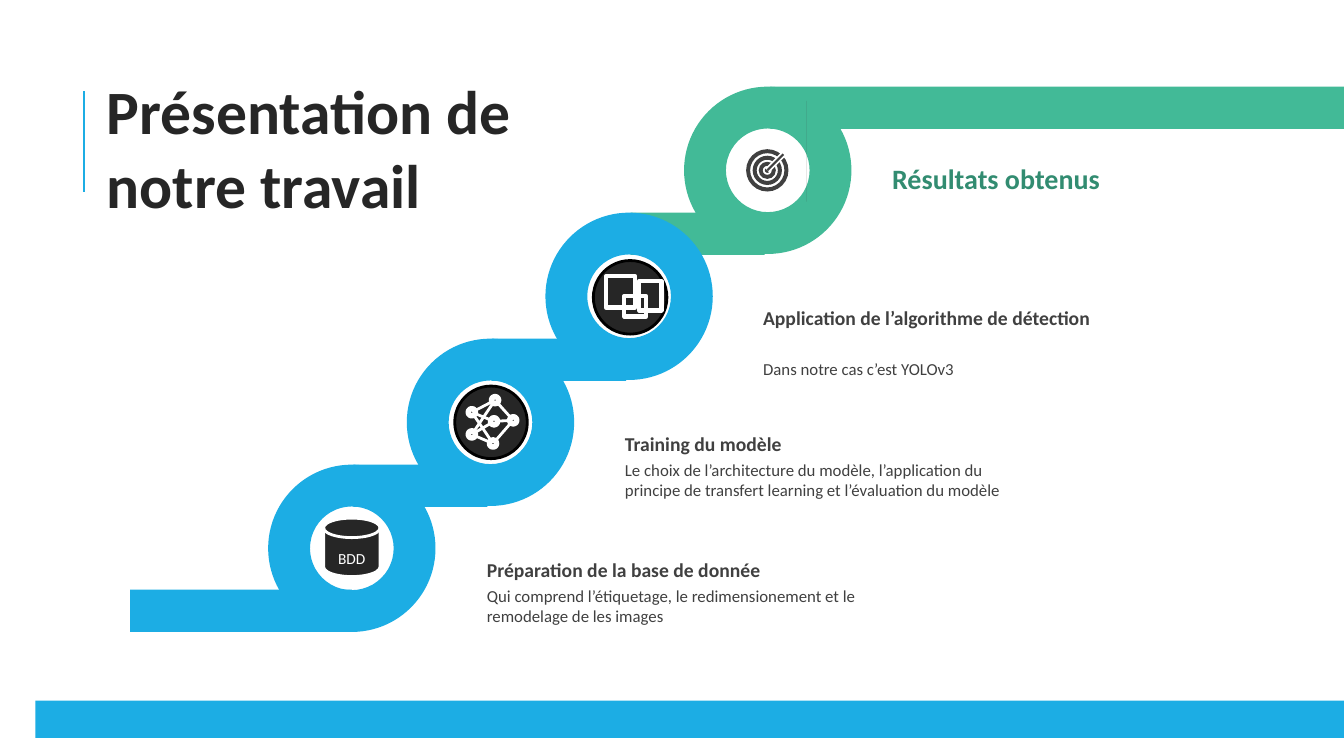
from lxml import etree
from pptx import Presentation
from pptx import util as u
from pptx.dml.color import RGBColor
from pptx.enum import shapes, text
from pptx.oxml import ns

BLUE = RGBColor(0x1C, 0xAD, 0xE4)
GREEN = RGBColor(0x42, 0xBA, 0x97)
DARK_GREEN = RGBColor(0x32, 0x8C, 0x71)
INK = RGBColor(0x26, 0x26, 0x26)
GREY = RGBColor(0x40, 0x40, 0x40)
BLACK = RGBColor(0, 0, 0)
WHITE = RGBColor(0xFF, 0xFF, 0xFF)

KIND = shapes.MSO_SHAPE
STEP_X, STEP_Y = 1.375, 1.25      # offset from one ring to the next
RING, BAND = 1.66, 0.42
FIRST_X, FIRST_Y = 2.66, 4.61     # corner of the lowest ring


class SlideBuilder:
    """Holds the text style and the current slide."""

    def __init__(self, slide, font_name):
        self.slide = slide
        self.font_name = font_name

    def paint(self, shape, fill, line=None, width=1):
        shape.shadow.inherit = False
        if fill is None:
            shape.fill.background()
        else:
            shape.fill.solid()
            shape.fill.fore_color.rgb = fill
        if line is None:
            shape.line.fill.background()
        else:
            shape.line.color.rgb = line
            shape.line.width = u.Pt(width)
        return shape

    def shape(self, kind, box, fill, line=None, width=1):
        shape = self.slide.shapes.add_shape(kind, *map(u.Inches, box))
        return self.paint(shape, fill, line, width)

    def circle(self, center, diameter, fill, line=None, width=1):
        left, top = (value - diameter / 2 for value in center)
        return self.shape(KIND.OVAL, (left, top, diameter, diameter), fill, line, width)

    def ring(self, center, diameter, thickness, fill):
        left, top = (value - diameter / 2 for value in center)
        shape = self.shape(KIND.DONUT, (left, top, diameter, diameter), fill)
        shape.adjustments[0] = thickness / diameter

    def polygon(self, points, fill):
        builder = self.slide.shapes.build_freeform(*points[0], scale=u.Inches(1))
        builder.add_line_segments(points[1:], close=True)
        self.paint(builder.convert_to_shape(), fill)

    def line(self, start, end, color, width):
        connector = self.slide.shapes.add_connector(
            shapes.MSO_CONNECTOR.STRAIGHT, *map(u.Inches, (*start, *end)))
        connector.line.color.rgb = color
        connector.line.width = u.Pt(width)
        etree.SubElement(connector._element.spPr, ns.qn("a:effectLst"))

    def label(self, shape, words, size, color, bold=False):
        paragraph = shape.text_frame.paragraphs[0]
        paragraph.text = words
        formats = {"name": self.font_name, "size": u.Pt(size), "bold": bold}
        for name, value in formats.items():
            setattr(paragraph.font, name, value)
        paragraph.font.color.rgb = color
        return paragraph

    def text(self, box, words, size, color, bold=False, anchor=text.MSO_ANCHOR.TOP):
        shape = self.slide.shapes.add_textbox(*map(u.Inches, box))
        formats = {
            "word_wrap": True,
            "auto_size": text.MSO_AUTO_SIZE.SHAPE_TO_FIT_TEXT,
            "vertical_anchor": anchor,
        }
        for name, value in formats.items():
            setattr(shape.text_frame, name, value)
        self.label(shape, words, size, color, bold)


def draw_road(builder):
    # Bars and rings, from the top step down
    builder.shape(KIND.RECTANGLE, (7.64, 0.86, 5.69, BAND), GREEN)
    for step in (3, 2, 1, 0):
        color = GREEN if step == 3 else BLUE
        left, top = FIRST_X + step * STEP_X, FIRST_Y - step * STEP_Y
        if step:
            builder.shape(KIND.RECTANGLE, (left - 0.53, top + STEP_Y, 1.33, BAND), color)
        else:
            builder.shape(KIND.RECTANGLE, (1.29, 5.85, 2.2, BAND), color)
        builder.ring((left + RING / 2, top + RING / 2), RING, RING / 4, color)


def draw_labels(builder):
    builder.text((8.75, 1.55, 3.26, 0.43), "Résultats obtenus", 20, DARK_GREEN, True)
    steps = [
        ("Préparation de la base de donnée",
         "Qui comprend l’étiquetage, le redimensionement et le remodelage de les images",
         0.27, 0.5),
        ("Training du modèle",
         "Le choix de l’architecture du modèle, l’application du principe de transfert "
         "learning et l’évaluation du modèle", 0.27, 0.5),
        ("Application de l’algorithme de détection", "Dans notre cas c’est YOLOv3", 0.52, 0.3),
    ]
    for step, (heading, detail, gap, height) in enumerate(steps):
        left, top = 4.73 + step * 1.37, 5.49 - step * STEP_Y
        builder.text((left, top, 4.02, 0.33), heading, 14, GREY, True)
        builder.text((left, top + gap, 4.02, height), detail, 12, GREY)


def draw_target(builder):
    center = (7.61, 1.69)
    for diameter in (0.42, 0.29, 0.17):
        builder.ring(center, diameter, 0.04, GREY)
    builder.circle(center, 0.05, GREY)
    for color, width in ((WHITE, 4), (GREY, 1.5)):
        builder.line(center, (7.77, 1.53), color, width)
    builder.polygon([(7.79, 1.47), (7.8, 1.51), (7.83, 1.51), (7.79, 1.56),
                     (7.76, 1.55), (7.75, 1.54), (7.75, 1.51)], GREY)


def draw_database(builder):
    disk = builder.shape(KIND.FLOWCHART_MAGNETIC_DISK, (3.21, 5.14, 0.56, 0.58),
                         INK, WHITE, 2)
    formats = {"margin_left": 0, "margin_right": 0, "margin_bottom": 0,
               "margin_top": u.Inches(0.13), "word_wrap": False,
               "vertical_anchor": text.MSO_ANCHOR.MIDDLE}
    for name, value in formats.items():
        setattr(disk.text_frame, name, value)
    builder.label(disk, "BDD", 11, WHITE).alignment = text.PP_ALIGN.CENTER


def draw_network(builder):
    builder.circle((4.87, 4.19), 0.72, INK, BLACK, 2)
    nodes = {"low": (4.68, 4.31), "bottom": (4.89, 4.4), "high": (4.68, 4.09),
             "middle": (4.9, 4.18), "top": (4.91, 3.97), "right": (5.09, 4.17)}
    edges = [("low", "bottom"), ("high", "middle"), ("top", "right"),
             ("bottom", "right"), ("middle", "right"), ("high", "bottom"),
             ("high", "top"), ("low", "middle"), ("top", "low")]
    for start, end in edges:
        builder.line(nodes[start], nodes[end], WHITE, 2)
    for center in nodes.values():
        builder.circle(center, 0.07, BLACK, WHITE, 4)


def draw_detection(builder):
    builder.circle((6.25, 2.95), 0.73, INK, BLACK, 2)
    for box in ((6.01, 2.74, 0.29, 0.31), (6.19, 2.94, 0.22, 0.2), (6.34, 2.79, 0.22, 0.29)):
        builder.shape(KIND.RECTANGLE, box, None, WHITE, 3)


def main():
    presentation = Presentation()
    presentation.slide_width = u.Inches(13.33)
    presentation.slide_height = u.Inches(7.5)
    slide = presentation.slides.add_slide(presentation.slide_layouts[6])
    builder = SlideBuilder(slide, "Calibri")

    # Title and footer band
    builder.line((0.83, 1.9), (0.83, 0.9), BLUE, 1.5)
    builder.shape(KIND.RECTANGLE, (0.35, 6.95, 12.98, 0.37), BLUE)
    builder.text((0.96, 0.67, 4.45, 1.57), "Présentation de notre travail", 44, INK,
                 True, text.MSO_ANCHOR.MIDDLE)

    # Climbing road, its labels and the icon of each step
    draw_road(builder)
    draw_labels(builder)
    draw_database(builder)
    draw_network(builder)
    draw_detection(builder)
    draw_target(builder)

    presentation.save("out.pptx")


if __name__ == "__main__":
    main()
